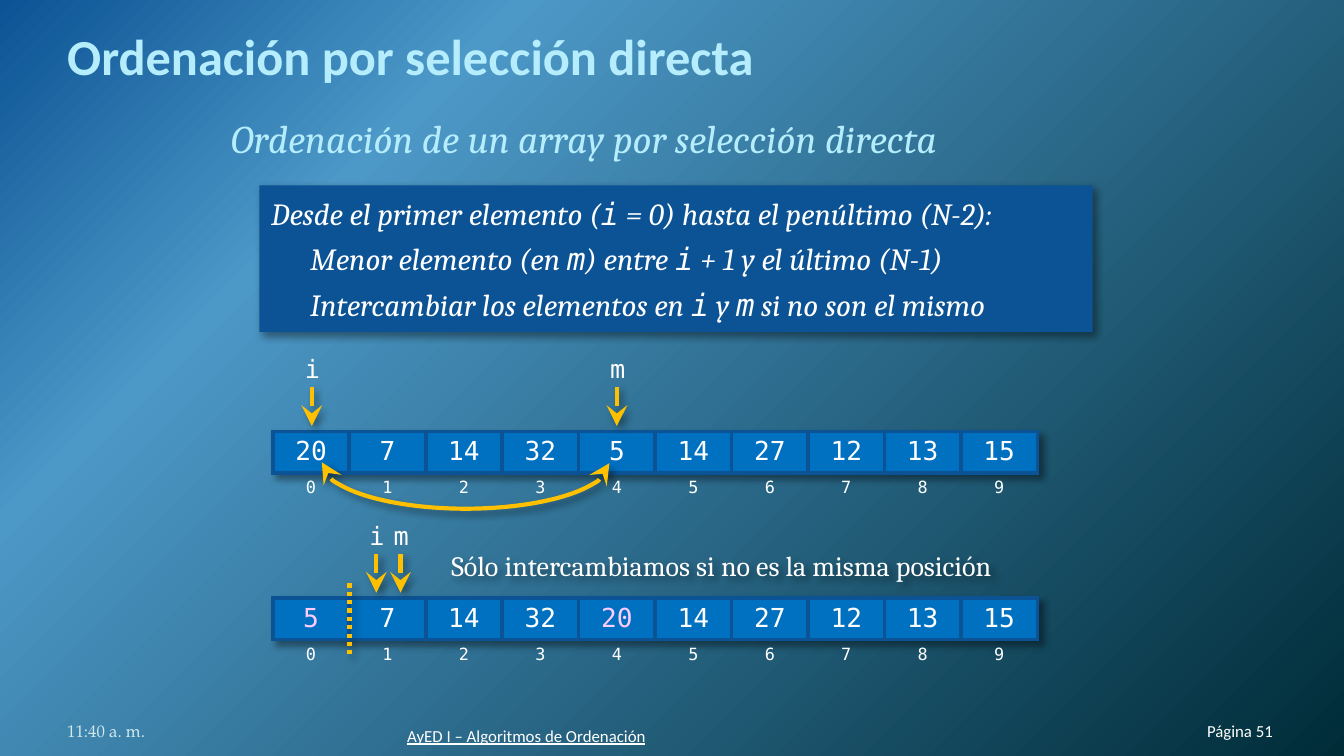
"""Build the slide that explains direct selection sort on an array."""
from dataclasses import dataclass

from lxml.etree import SubElement
from pptx import Presentation
from pptx.dml.color import RGBColor
from pptx.enum.dml import MSO_LINE
from pptx.enum.shapes import MSO_CONNECTOR, MSO_SHAPE
from pptx.enum.text import MSO_ANCHOR as Anchor, PP_ALIGN as Align
from pptx.oxml import parse_xml
from pptx.oxml.ns import nsdecls, qn
from pptx.util import Inches, Pt

NAVY, BLUE, AMBER, WHITE = "0B5394", "0070C0", "FFC000", "FFFFFF"
PALE, PINK = "B5EDFD", "FFCCFF"
MONO, SERIF, SANS = "DejaVu Sans Mono", "Cambria", "Calibri"
NO_STYLE = "{2D5ABB26-0587-4C30-8999-92F81FD0307C}"
ARRAY_LEFT, ARRAY_WIDTH = 2.03, 5.69
CELL_SIDE, CELL_EDGE = 5.4 / 72, 2.7 / 72
GRADIENT = ((0, NAVY), (25, "4C98C7"), (100, "002C38"))


@dataclass
class Style:
    size: float
    font: str
    color: str = WHITE
    bold: bool = False
    italic: bool = False
    underline: bool = False


@dataclass
class ArrayState:
    top: float
    values: list[int]
    swapped: tuple[int, ...] = ()


@dataclass
class Pointer:
    name: str
    x: float
    top: float


@dataclass
class Label:
    text: str
    box: tuple[float, float, float, float]
    style: Style
    align: Align = Align.LEFT


ARRAYS = [
    ArrayState(3.21, [20, 7, 14, 32, 5, 14, 27, 12, 13, 15]),
    ArrayState(4.45, [5, 7, 14, 32, 20, 14, 27, 12, 13, 15], (0, 4)),
]
POINTERS = [Pointer("m", 4.59, 2.58), Pointer("i", 2.32, 2.58),
            Pointer("m", 2.98, 3.82), Pointer("i", 2.8, 3.82)]
STEPS = [
    ("Desde el primer elemento (`i` = 0) hasta el penúltimo (N-2):", 0.3),
    ("Menor elemento (en `m`) entre `i` + 1 y el último (N-1)", 0.59),
    ("Intercambiar los elementos en `i` y `m` si no son el mismo", 0.59),
]
FOOTERS = [
    Label("Página 51", (8.49, 5.21, 0.98, 0.3), Style(9, SANS), Align.RIGHT),
    Label("11:40 a. m.", (0.5, 5.21, 2.33, 0.3), Style(9, "TeX Gyre Pagella", "D1EAEE")),
    Label("AyED I – Algoritmos de Ordenación", (3.03, 5.25, 3.78, 0.3),
          Style(9, SANS, underline=True)),
]


def rgb(color: str) -> RGBColor:
    return RGBColor.from_string(color)


def inches(*lengths: float) -> list[Inches]:
    return [Inches(length) for length in lengths]


def format_runs(paragraph, style: Style) -> None:
    for run in paragraph.runs:
        font = run.font
        font.size, font.name = Pt(style.size), style.font
        font.color.rgb = rgb(style.color)
        font.bold, font.italic, font.underline = style.bold, style.italic, style.underline


def set_margins(frame, left: float, top: float, right: float, bottom: float) -> None:
    frame.margin_left, frame.margin_top, frame.margin_right, frame.margin_bottom = inches(
        left, top, right, bottom)


def shadow_effect():
    return parse_xml(
        f'<a:effectLst {nsdecls("a")}><a:outerShdw blurRad="{Pt(4)}" dist="{Pt(3)}" '
        'dir="2700000" algn="tl" rotWithShape="0"><a:srgbClr val="000000">'
        '<a:alpha val="40000"/></a:srgbClr></a:outerShdw></a:effectLst>')


def style_stroke(shape, *ends: str, dash=None) -> None:
    shape.line.color.rgb = rgb(AMBER)
    shape.line.width = Pt(2.25)
    if dash:
        shape.line.dash_style = dash
    properties = shape.element.spPr
    for end in ends:
        SubElement(properties.find(qn("a:ln")), qn(f"a:{end}"), type="stealth", w="lg", len="lg")
    properties.append(shadow_effect())


def set_background(slide) -> None:
    slide.background.fill.gradient()
    stops = "".join(f'<a:gs pos="{position * 1000}"><a:srgbClr val="{color}"/></a:gs>'
                    for position, color in GRADIENT)
    old = slide.element.find(f".//{qn('a:gradFill')}")
    old.getparent().replace(old, parse_xml(
        f'<a:gradFill {nsdecls("a")} rotWithShape="1"><a:gsLst>{stops}</a:gsLst>'
        '<a:path path="circle"><a:fillToRect r="100000" b="100000"/></a:path></a:gradFill>'))


def set_title(slide) -> None:
    title = slide.shapes.title
    title.left, title.top, title.width, title.height = inches(0.5, 0.23, 9, 0.41)
    frame = title.text_frame
    frame.text = "Ordenación por selección directa"
    frame.vertical_anchor = Anchor.BOTTOM
    set_margins(frame, 0, 0.05, 0, 0)
    frame.paragraphs[0].alignment = Align.LEFT
    format_runs(frame.paragraphs[0], Style(27, SANS, PALE, bold=True))


def add_label(slide, label: Label, wrap: bool = False):
    box = slide.shapes.add_textbox(*inches(*label.box))
    frame = box.text_frame
    frame.text = label.text
    frame.word_wrap = wrap
    frame.paragraphs[0].alignment = label.align
    format_runs(frame.paragraphs[0], label.style)
    return box


def add_algorithm(slide) -> None:
    panel = slide.shapes.add_shape(MSO_SHAPE.RECTANGLE, *inches(1.93, 1.38, 6.2, 1.09))
    panel.fill.solid()
    panel.fill.fore_color.rgb = rgb(NAVY)
    panel.line.fill.background()
    panel.element.spPr.append(shadow_effect())
    heading = Label("Ordenación de un array por selección directa", (1.62, 0.8, 6.86, 4.19),
                    Style(21, SERIF, PALE, italic=True))
    frame = add_label(slide, heading, wrap=True).text_frame
    frame.paragraphs[0].space_after = Pt(18)
    for text, indent in STEPS:
        paragraph = frame.add_paragraph()
        paragraph.space_after = Pt(4.5)
        paragraph._p.get_or_add_pPr().set("marL", str(Inches(indent)))
        for part in text.split("`"):
            paragraph.add_run().text = part
        format_runs(paragraph, Style(16.5, SERIF, italic=True))
        for run in paragraph.runs[1::2]:
            run.font.name = MONO


def set_cell(cell, text: str, style: Style, borders: str) -> None:
    cell.text = text
    set_margins(cell, CELL_SIDE, CELL_EDGE, CELL_SIDE, CELL_EDGE)
    cell.text_frame.paragraphs[0].alignment = Align.CENTER
    format_runs(cell.text_frame.paragraphs[0], style)
    properties = cell._tc.get_or_add_tcPr()
    for side in borders:
        line = SubElement(properties, qn(f"a:ln{side}"), w=str(Pt(2.25)))
        SubElement(SubElement(line, qn("a:solidFill")), qn("a:srgbClr"), val=NAVY)


def add_array(slide, state: ArrayState) -> None:
    count = len(state.values)
    table = slide.shapes.add_table(
        2, count, *inches(ARRAY_LEFT, state.top, ARRAY_WIDTH, 0.54)).table
    properties = table._tbl.tblPr
    properties.find(qn("a:tableStyleId")).text = NO_STYLE
    properties.insert(0, shadow_effect())
    table.rows[0].height, table.rows[1].height = inches(0.3, 0.24)
    for index, value in enumerate(state.values):
        color = PINK if index in state.swapped else WHITE
        cell = table.cell(0, index)
        set_cell(cell, str(value), Style(14, MONO, color), "LRTB")
        cell.fill.solid()
        cell.fill.fore_color.rgb = rgb(BLUE)
        set_cell(table.cell(1, index), str(index), Style(9, MONO), "T")
        table.cell(1, index).fill.background()


def add_line(slide, x: float, start: float, end: float, *ends: str, dash=None) -> None:
    line = slide.shapes.add_connector(MSO_CONNECTOR.STRAIGHT, *inches(x, start, x, end))
    style_stroke(line, *ends, dash=dash)


def add_pointer(slide, pointer: Pointer) -> None:
    add_line(slide, pointer.x, pointer.top + 0.3, pointer.top + 0.59, "tailEnd")
    add_label(slide, Label(pointer.name, (pointer.x - 0.15, pointer.top, 0.31, 0.33),
                           Style(13.5, MONO), Align.CENTER))


def add_swap_arc(slide) -> None:
    arc = slide.shapes.add_shape(MSO_SHAPE.ARC, *inches(3.12, 2.37, 0.69, 2.14))
    arc.adjustments[0], arc.adjustments[1] = 162, 53.78
    arc.rotation = 270
    arc.element.spPr.xfrm.set("flipH", "1")
    arc.fill.background()
    style_stroke(arc, "headEnd", "tailEnd")


def main() -> None:
    presentation = Presentation()
    presentation.slide_width, presentation.slide_height = inches(10, 10 * 9 / 16)
    slide = presentation.slides.add_slide(presentation.slide_layouts[5])
    set_background(slide)
    set_title(slide)
    add_algorithm(slide)
    for state in ARRAYS:
        add_array(slide, state)
    for pointer in POINTERS:
        add_pointer(slide, pointer)
    add_swap_arc(slide)
    add_line(slide, 2.6, 4.87, 4.34, dash=MSO_LINE.ROUND_DOT)
    note = add_label(slide, Label("Sólo intercambiamos si no es la misma posición",
                                  (3.26, 4.03, 4.47, 0.35), Style(15, SERIF)))
    note.element.spPr.append(shadow_effect())
    for footer in FOOTERS:
        frame = add_label(slide, footer, wrap=True).text_frame
        frame.vertical_anchor = Anchor.BOTTOM
        set_margins(frame, 0, 0, 0, 0)
    presentation.save("out.pptx")


if __name__ == "__main__":
    main()
